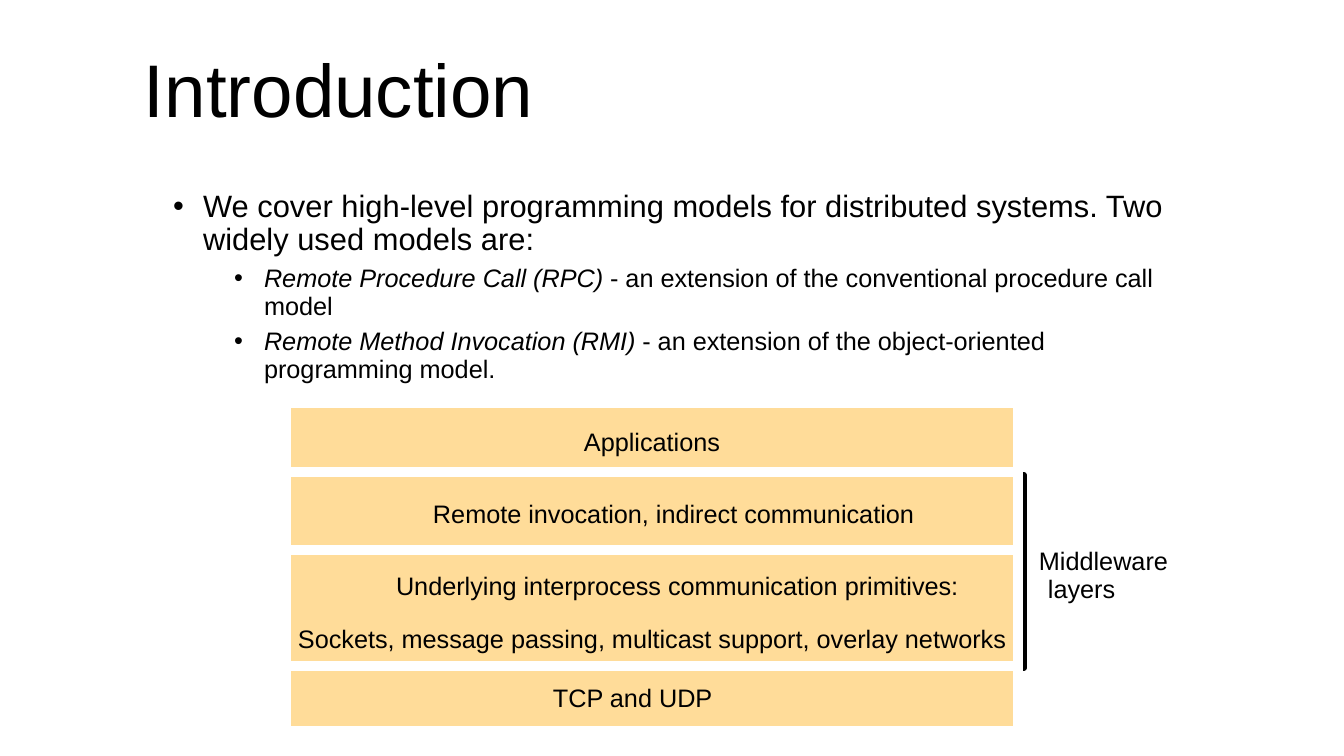
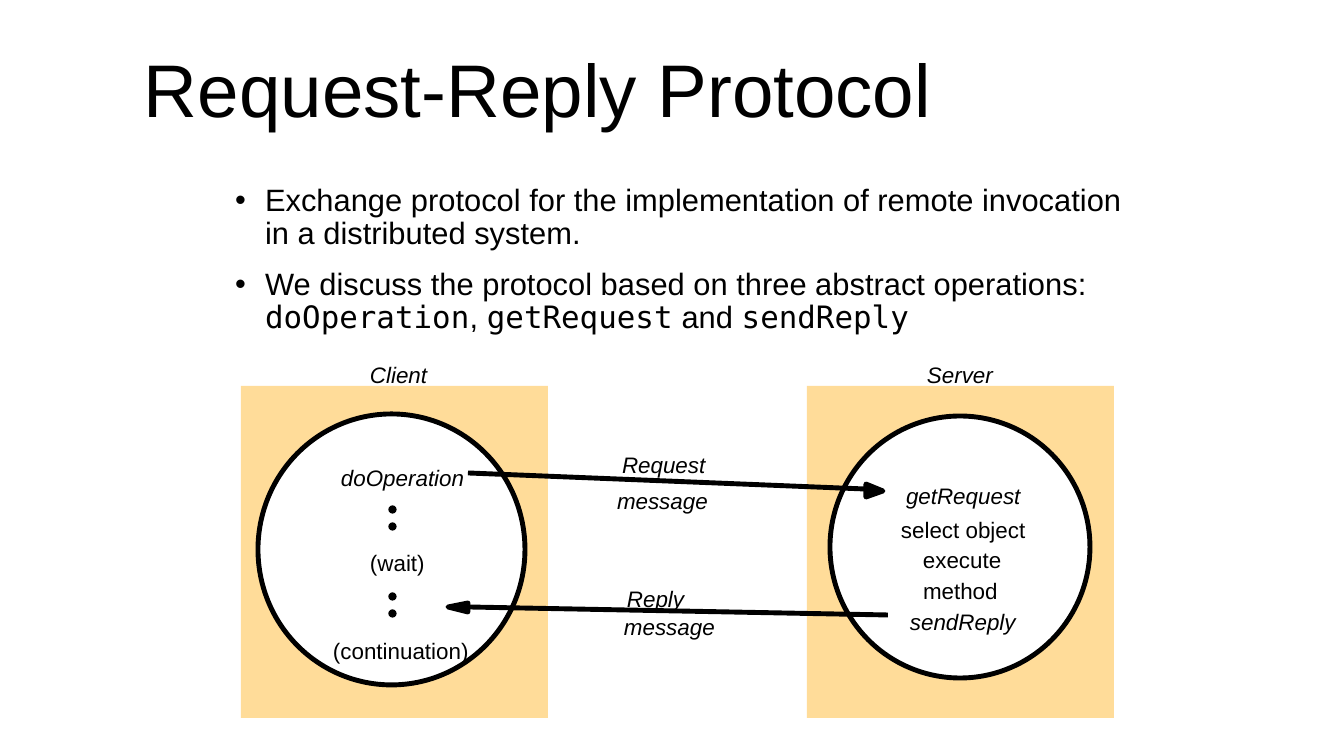
from lxml.etree import SubElement
from pptx import Presentation
from pptx.dml.color import RGBColor
from pptx.enum.shapes import MSO_CONNECTOR as Connector, MSO_SHAPE as Shape
from pptx.enum.text import MSO_ANCHOR as Anchor, MSO_AUTO_SIZE as AutoSize, PP_ALIGN as Align
from pptx.oxml.ns import qn
from pptx.util import Emu, Pt

BLACK = RGBColor(0x00, 0x00, 0x00)
WHITE = RGBColor(0xFF, 0xFF, 0xFF)
SAND = RGBColor(0xFF, 0xDC, 0x99)
SANS = "Arial"
MONO = "DejaVu Sans Mono"
TITLE_SIZE = 44
LEVEL_SIZES = (18.2, 14.9)
LEVEL_GAPS = (10, 5)
LEVEL_INDENTS = (30, 91)
HANGING = 30
OUTLINE = 2.88
RIM = 3


def px(length):
    return Emu(round(length * 914400 / 122))


class Slides:
    def __init__(self, width, height):
        self.deck = Presentation()
        self.deck.slide_width = px(width)
        self.deck.slide_height = px(height)
        self.page = None

    def add_page(self, title):
        self.page = self.deck.slides.add_slide(self.deck.slide_layouts[5])
        box = self.page.shapes.title
        box.left, box.top, box.width, box.height = map(px, (144, 30, 1133, 126))
        frame = self.prepare_frame(box, wrap=True, anchor=Anchor.MIDDLE)
        frame.text = title
        self.style(frame.paragraphs[0], TITLE_SIZE, spacing=0.9)

    def prepare_frame(self, box, wrap, anchor=Anchor.TOP):
        frame = box.text_frame
        frame.margin_left = frame.margin_top = frame.margin_right = frame.margin_bottom = 0
        frame.word_wrap = wrap
        frame.auto_size = AutoSize.NONE
        frame.vertical_anchor = anchor
        return frame

    def style(self, para, size, italic=False, spacing=1.0):
        para.alignment = Align.LEFT
        para.line_spacing = spacing
        font = para.font
        font.name, font.size, font.italic = SANS, Pt(size), italic
        font.color.rgb = BLACK

    def bullets(self, left, top, width, height, items):
        box = self.page.shapes.add_textbox(*map(px, (left, top, width, height)))
        frame = self.prepare_frame(box, wrap=True)
        for index, (level, spans) in enumerate(items):
            para = frame.add_paragraph() if index else frame.paragraphs[0]
            para.level = level
            properties = para._p.get_or_add_pPr()
            properties.set("marL", str(px(LEVEL_INDENTS[level])))
            properties.set("indent", str(-px(HANGING)))
            SubElement(properties, qn("a:buFont"), typeface=SANS)
            SubElement(properties, qn("a:buChar"), char="•")
            self.style(para, LEVEL_SIZES[level], spacing=0.9)
            para.space_before = Pt(LEVEL_GAPS[level])
            for text, changes in spans:
                span = para.add_run()
                span.text = text
                for name, value in changes.items():
                    setattr(span.font, name, value)

    def label(self, text, left, top, width, size, italic=False):
        box = self.page.shapes.add_textbox(*map(px, (left, top, width, round(size * 2))))
        frame = self.prepare_frame(box, wrap=False)
        frame.text = text
        self.style(frame.paragraphs[0], size, italic)

    def paint(self, shape, fill, line, weight):
        shape.shadow.inherit = False
        if fill is None:
            shape.fill.background()
        else:
            shape.fill.solid()
            shape.fill.fore_color.rgb = fill
        if line is None:
            shape.line.fill.background()
        else:
            shape.line.color.rgb = line
            shape.line.width = Pt(weight)

    def shape(self, kind, left, top, width, height, fill=None, line=None, weight=OUTLINE):
        shape = self.page.shapes.add_shape(kind, *map(px, (left, top, width, height)))
        self.paint(shape, fill, line, weight)

    def band(self, left, top, width, height):
        self.shape(Shape.RECTANGLE, left, top, width, height, fill=SAND)
        self.shape(Shape.RECTANGLE, left - RIM, top - RIM, width + 2 * RIM, height + 2 * RIM,
                   line=WHITE, weight=5.63)

    def arrow(self, start, end, head):
        line = self.page.shapes.add_connector(Connector.STRAIGHT, *map(px, (*start, *end)))
        line.line.color.rgb = BLACK
        line.line.width = Pt(OUTLINE)
        SubElement(line._element.spPr, qn("a:effectLst"))
        corners = [tuple(map(px, corner)) for corner in head]
        builder = self.page.shapes.build_freeform(*corners[0])
        builder.add_line_segments(corners[1:], close=True)
        self.paint(builder.convert_to_shape(), BLACK, BLACK, OUTLINE)


def build_introduction(slides):
    slides.add_page("Introduction")
    models = (
        ("Remote Procedure Call (RPC) ", "- an extension of the conventional procedure call model"),
        ("Remote Method Invocation (RMI) ", "- an extension of the object-oriented programming model."),
    )
    intro = "We cover high-level programming models for distributed systems. Two widely used models are:"
    items = [(0, [(intro, {})])]
    items += [(1, [(name, {"italic": True}), (meaning, {})]) for name, meaning in models]
    slides.bullets(173, 191, 997, 492, items)

    slides.shape(Shape.RECTANGLE, 983, 475, 41, 193, line=BLACK, weight=3.38)
    for top, height in ((406, 322), (547, 116), (475, 72)):
        slides.band(289, top, 726, height)

    for text, left, top, width in (
        ("Applications", 584, 426, 137),
        ("Remote invocation, indirect communication", 433, 498, 484),
        ("Underlying interprocess communication primitives:", 396, 570, 567),
        ("Sockets, message passing, multicast support, overlay networks", 298, 623, 715),
        ("TCP and UDP", 553, 682, 161),
        ("Middleware", 1039, 545, 129),
        ("layers", 1048, 573, 68),
    ):
        slides.label(text, left, top, width, LEVEL_SIZES[1])


def build_protocol(slides):
    slides.add_page("Request-Reply Protocol")
    code = {"name": MONO}
    slides.bullets(235, 185, 916, 492, [
        (0, [("Exchange protocol for the implementation of remote invocation in a distributed system.", {})]),
        (0, [("We discuss the protocol based on three abstract operations: ", {}),
             ("doOperation", code), (", ", {}), ("getRequest", code),
             (" and ", {}), ("sendReply", code)]),
    ])

    for left in (241, 807):
        slides.shape(Shape.RECTANGLE, left, 386, 307, 332, fill=SAND)
    for circle in ((258, 414, 267, 271), (830, 416, 260, 262)):
        slides.shape(Shape.OVAL, *circle, fill=WHITE, line=BLACK)
    for top in (506, 523, 593, 610):
        slides.shape(Shape.OVAL, 389, top, 7, 7, fill=BLACK, line=BLACK, weight=0.75)

    slides.arrow((468, 473), (864, 489), ((866, 484), (883, 491), (866, 497)))
    slides.arrow((888, 615), (468, 607), ((468, 612), (448, 607), (468, 603)))

    for text, left, top, width, italic in (
        ("Client", 370, 361, 59, True),
        ("Server", 927, 361, 67, True),
        ("doOperation", 341, 464, 124, True),
        ("(wait)", 370, 549, 55, False),
        ("(continuation)", 333, 637, 138, False),
        ("Request", 622, 451, 84, True),
        ("message", 617, 487, 91, True),
        ("Reply", 627, 585, 59, True),
        ("message", 624, 613, 92, True),
        ("getRequest", 906, 482, 116, True),
        ("select object", 901, 516, 125, False),
        ("execute", 923, 546, 78, False),
        ("method", 923, 577, 75, False),
        ("sendReply", 910, 608, 107, True),
    ):
        slides.label(text, left, top, width, 13.2, italic)


def main():
    slides = Slides(1344, 756)
    build_introduction(slides)
    build_protocol(slides)
    slides.deck.save("out.pptx")


if __name__ == "__main__":
    main()
